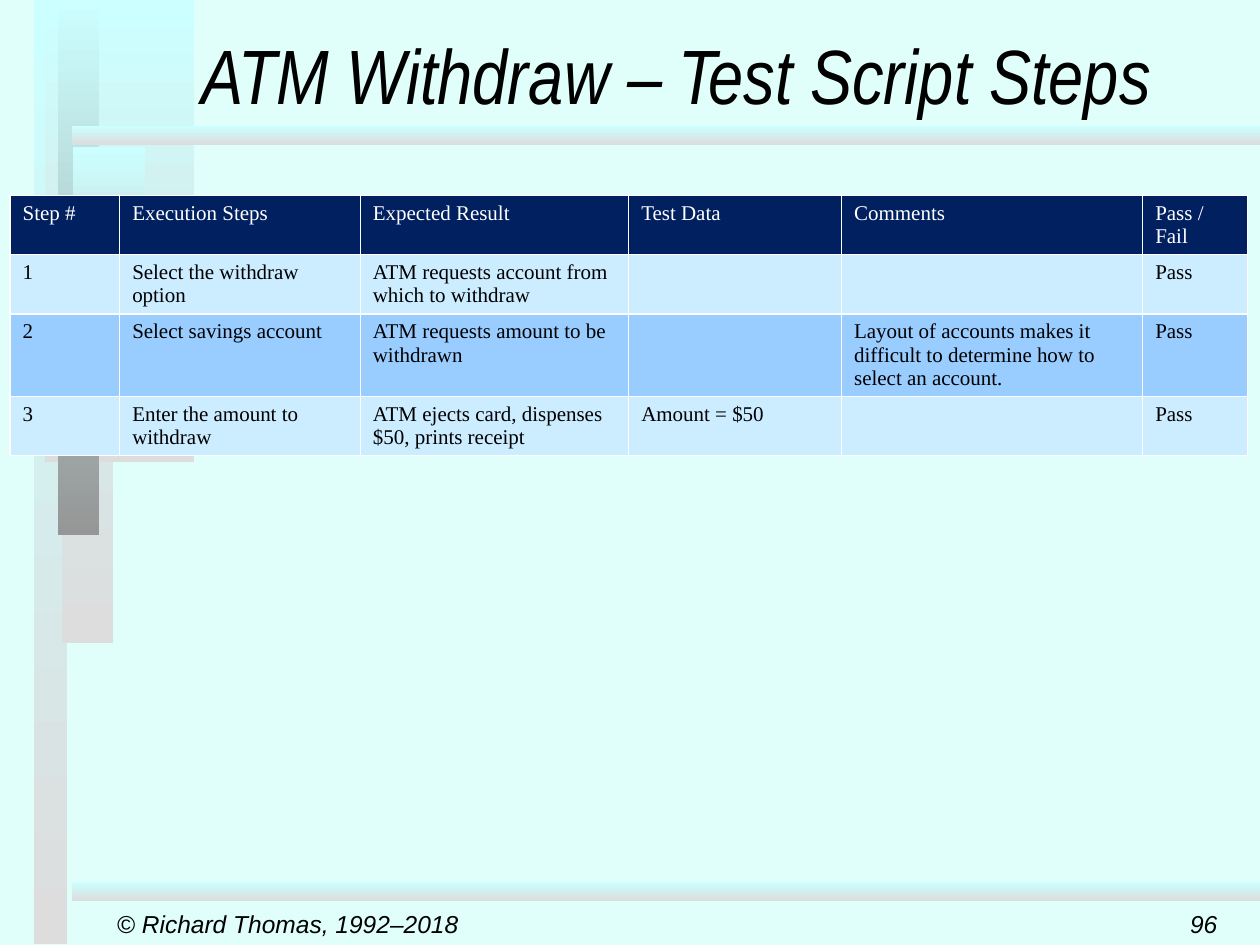
from lxml.etree import SubElement
from pptx import Presentation
from pptx.dml.color import RGBColor
from pptx.enum.shapes import MSO_SHAPE
from pptx.enum.text import MSO_ANCHOR, MSO_AUTO_SIZE, PP_ALIGN
from pptx.oxml.ns import qn
from pptx.util import Inches, Pt

COLORS = {
    "background": "E1FFFA", "aqua": "CCFFFF", "pale": "DDDDDD",
    "silver": "CBCBCB", "gray": "969696", "navy": "002060",
    "light": "CCECFF", "sky": "99CCFF", "white": "FFFFFF", "black": "000000",
}


def rgb(name):
    return RGBColor.from_string(COLORS[name])


def set_font(p, name, size, color, italic=False):
    font = p.font
    font.name, font.size, font.bold, font.italic = name, Pt(size), False, italic
    font.color.rgb = rgb(color)


prs = Presentation()
prs.slide_width, prs.slide_height = Inches(10), Inches(7.5)
slide = prs.slides.add_slide(prs.slide_layouts[5])
slide.background.fill.solid()
slide.background.fill.fore_color.rgb = rgb("background")

# Gradient columns on the left, then the two horizontal rules
BARS = [
    (0.27, 0, 0.26, 7.49, "pale"),
    (0.49, 0, 0.41, 5.1, "pale"),
    (0.36, 0, 1.18, 3.67, "pale"),
    (0.46, 0, 0.33, 4.25, "gray"),
    (0.58, 1.17, 0.57, 1.33, "silver"),
    (0.57, 1, 9.43, 0.15, "pale"),
    (0.57, 7, 9.43, 0.15, "pale"),
]
for *box, end in BARS:
    sp = slide.shapes.add_shape(MSO_SHAPE.RECTANGLE, *map(Inches, box))
    sp.shadow.inherit = False
    sp.line.fill.background()
    sp.fill.gradient()
    sp.fill.gradient_angle = 270
    for stop, color in zip(sp.fill.gradient_stops, ("aqua", end)):
        stop.color.rgb = rgb(color)
        stop.position = 0 if color == "aqua" else 1

# Title
title = slide.shapes.title
title.left, title.top, title.width, title.height = map(Inches, (1.5, 0, 8.5, 1))
tf = title.text_frame
tf.text = "ATM Withdraw – Test Script Steps"
tf.auto_size = MSO_AUTO_SIZE.NONE
tf.vertical_anchor = MSO_ANCHOR.BOTTOM
tf.paragraphs[0].alignment = PP_ALIGN.LEFT
set_font(tf.paragraphs[0], "Arial Narrow", 44, "black", italic=True)

# Test script table
COLUMNS = [0.87, 1.91, 2.13, 1.69, 2.39, 0.83]
ROW_HEIGHT = 0.41
ROWS = [
    ("Step #", "Execution Steps", "Expected Result", "Test Data", "Comments", "Pass / Fail"),
    ("1", "Select the withdraw option",
     "ATM requests account from which to withdraw", "", "", "Pass"),
    ("2", "Select savings account", "ATM requests amount to be withdrawn", "",
     "Layout of accounts makes it difficult to determine how to select an account.", "Pass"),
    ("3", "Enter the amount to withdraw",
     "ATM ejects card, dispenses $50, prints receipt", "Amount = $50", "", "Pass"),
]
table = slide.shapes.add_table(
    len(ROWS), len(COLUMNS), Inches(0.08), Inches(1.55),
    Inches(sum(COLUMNS)), Inches(ROW_HEIGHT * len(ROWS))).table
for column, width in zip(table.columns, COLUMNS):
    column.width = Inches(width)
for i, texts in enumerate(ROWS):
    fill = "navy" if i == 0 else "light" if i % 2 else "sky"
    for j, text in enumerate(texts):
        cell = table.cell(i, j)
        cell.text = text
        set_font(cell.text_frame.paragraphs[0], "Times New Roman", 12,
                 "black" if i else "white")
        for side in ("lnL", "lnR", "lnT", "lnB"):
            ln = SubElement(cell._tc.get_or_add_tcPr(), qn(f"a:{side}"), w=str(Pt(1)))
            SubElement(SubElement(ln, qn("a:solidFill")), qn("a:srgbClr"),
                       val=COLORS["white"])
        cell.fill.solid()
        cell.fill.fore_color.rgb = rgb(fill)

# Footer: page number and copyright
for left, width, align, text in [
    (9.17, 0.59, PP_ALIGN.RIGHT, "96"),
    (0.83, 2.95, PP_ALIGN.LEFT, "© Richard Thomas, 1992–2018"),
]:
    tf = slide.shapes.add_textbox(*map(Inches, (left, 7.17, width, 0.33))).text_frame
    tf.word_wrap = True
    tf.vertical_anchor = MSO_ANCHOR.MIDDLE
    p = tf.paragraphs[0]
    p.text, p.alignment = text, align
    set_font(p, "Arial", 14, "black", italic=True)

prs.save("out.pptx")
